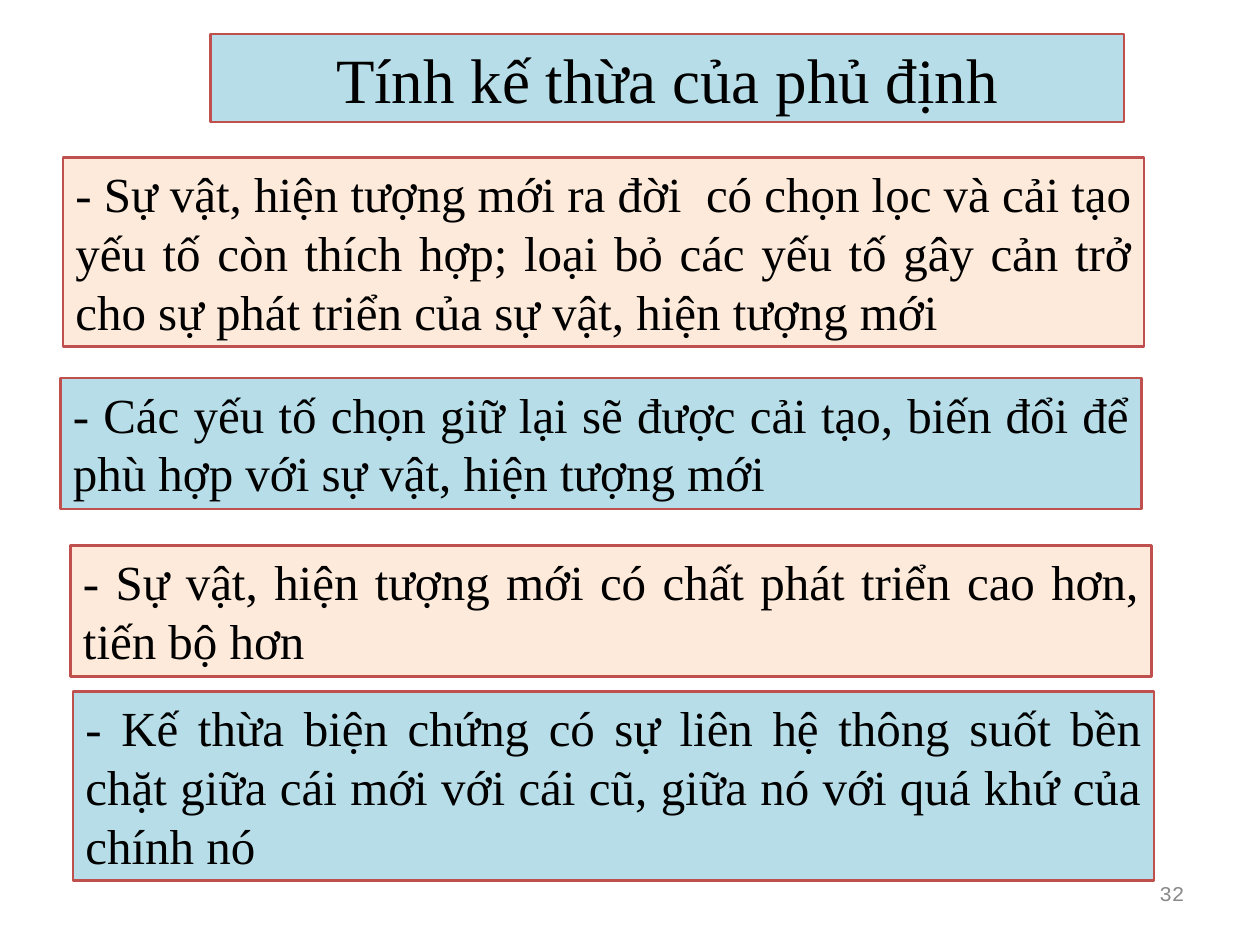
from pptx import Presentation
from pptx.dml.color import RGBColor
from pptx.enum.shapes import MSO_SHAPE
from pptx.enum.text import MSO_ANCHOR, MSO_AUTO_SIZE, PP_ALIGN
from pptx.util import Inches, Pt

RECT = MSO_SHAPE.RECTANGLE
TOP, MIDDLE = MSO_ANCHOR.TOP, MSO_ANCHOR.MIDDLE
CENTER, RIGHT, JUSTIFY = PP_ALIGN.CENTER, PP_ALIGN.RIGHT, PP_ALIGN.JUSTIFY
GROW = MSO_AUTO_SIZE.SHAPE_TO_FIT_TEXT

COLORS = {"blue": "B7DEE8", "peach": "FDEADA", "border": "C0504D",
          "text": "000000", "number": "898989"}
TITLE_FONT = {"name": "Times New Roman", "size": Pt(36)}
BODY_FONT = {"name": "Times New Roman", "size": Pt(28)}
NUMBER_FONT = {"name": "Courier New", "size": Pt(12)}

POINT_WIDTH = 8.58
# left, top, height, text
POINTS = [
    (0.5, 1.25, 1.5, "- Sự vật, hiện tượng mới ra đời  có chọn lọc và cải tạo yếu tố "
     "còn thích hợp; loại bỏ các yếu tố gây cản trở cho sự phát triển của sự vật, "
     "hiện tượng mới"),
    (0.48, 3, 1.04, "- Các yếu tố chọn giữ lại sẽ được cải tạo, biến đổi để phù hợp "
     "với sự vật, hiện tượng mới"),
    (0.56, 4.33, 1.04, "- Sự vật, hiện tượng mới có chất phát triển cao hơn, "
     "tiến bộ hơn"),
    (0.58, 5.49, 1.5, "- Kế thừa biện chứng có sự liên hệ thông suốt bền chặt giữa "
     "cái mới với cái cũ, giữa nó với quá khứ của chính nó"),
]


def rgb(key):
    return RGBColor.from_string(COLORS[key])


def write_text(sp, text, font, align, anchor, color="text"):
    tf = sp.text_frame
    tf.word_wrap = True
    tf.vertical_anchor = anchor
    p = tf.paragraphs[0]
    p.alignment = align
    r = p.add_run()
    r.text = text
    for name, value in font.items():
        setattr(r.font, name, value)
    r.font.color.rgb = rgb(color)


def add_panel(s, box, fill):
    """Add a filled rectangle with the shared red border."""
    sp = s.shapes.add_shape(RECT, *map(Inches, box))
    sp.shadow.inherit = False
    sp.fill.solid()
    sp.fill.fore_color.rgb = rgb(fill)
    sp.line.color.rgb = rgb("border")
    sp.line.width = Pt(1.5)
    return sp


def add_title(s, box, text):
    write_text(add_panel(s, box, "blue"), text, TITLE_FONT, CENTER, MIDDLE)


def add_point(s, box, text, fill):
    sp = add_panel(s, box, fill)
    write_text(sp, text, BODY_FONT, JUSTIFY, TOP)
    sp.text_frame.auto_size = GROW


def add_page_number(s, box, text):
    sp = s.shapes.add_textbox(*map(Inches, box))
    write_text(sp, text, NUMBER_FONT, RIGHT, MIDDLE, "number")


def main():
    prs = Presentation()
    prs.slide_width, prs.slide_height = Inches(10), Inches(7.5)
    s = prs.slides.add_slide(prs.slide_layouts[6])
    add_page_number(s, (7.17, 6.83, 2.33, 0.52), "32")
    add_title(s, (1.67, 0.27, 7.25, 0.7), "Tính kế thừa của phủ định")
    for i, (left, top, height, text) in enumerate(POINTS):
        fill = "blue" if i % 2 else "peach"
        add_point(s, (left, top, POINT_WIDTH, height), text, fill)
    prs.save("out.pptx")


if __name__ == "__main__":
    main()
